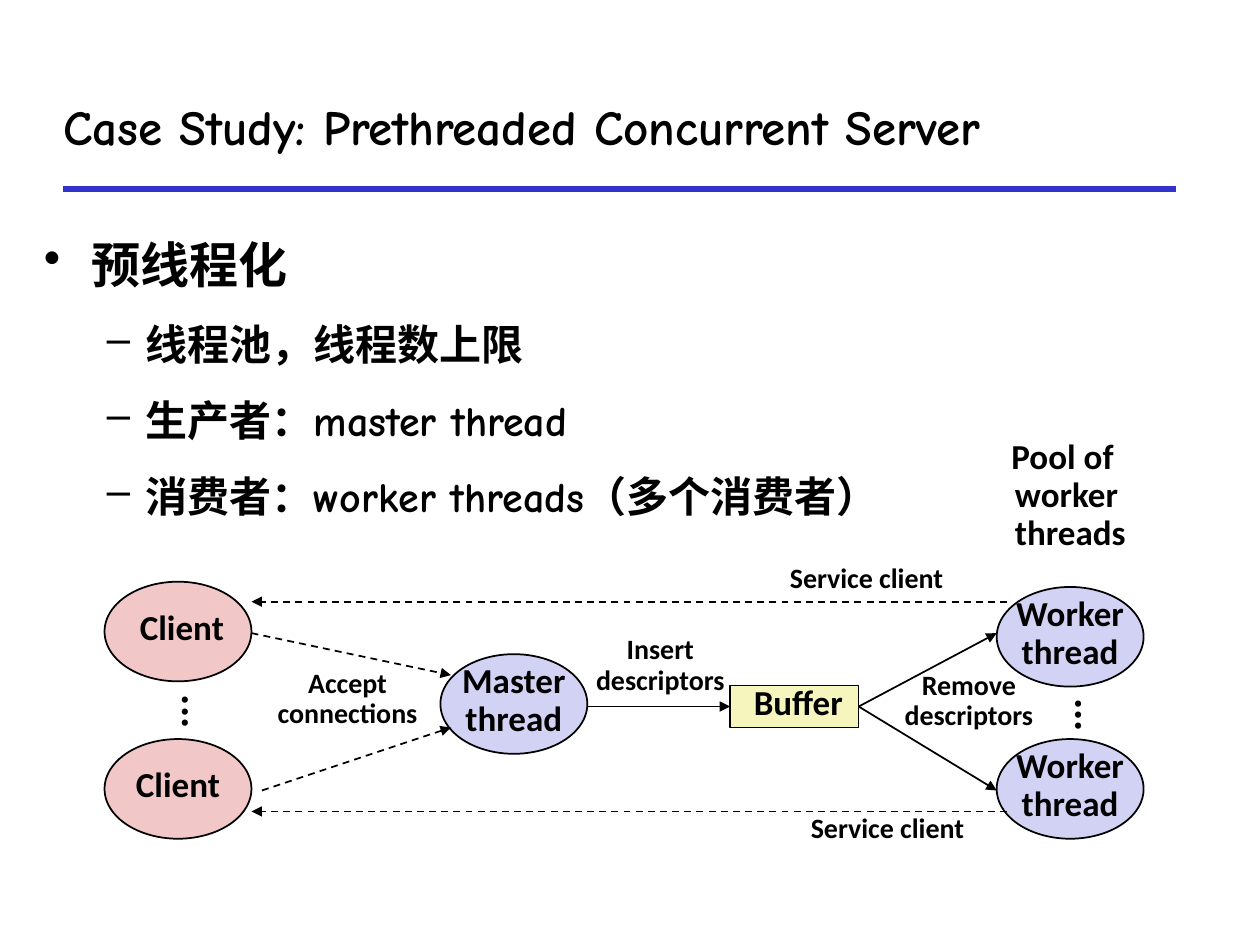
from lxml import etree
from pptx import Presentation
from pptx.dml.color import RGBColor
from pptx.enum.dml import MSO_LINE
from pptx.enum.shapes import MSO_CONNECTOR, MSO_SHAPE
from pptx.enum.text import MSO_ANCHOR, MSO_AUTO_SIZE, PP_ALIGN
from pptx.oxml.ns import qn
from pptx.util import Inches, Pt

BLACK = RGBColor(0x00, 0x00, 0x00)
RULE_BLUE = RGBColor(0x33, 0x33, 0xCC)
THREAD_BLUE = RGBColor(0xD2, 0xD2, 0xF4)
CLIENT_PINK = RGBColor(0xF1, 0xC7, 0xC7)
BUFFER_YELLOW = RGBColor(0xF6, 0xF5, 0xBD)

LEFT, CENTER = PP_ALIGN.LEFT, PP_ALIGN.CENTER
MIDDLE, TOP = MSO_ANCHOR.MIDDLE, MSO_ANCHOR.TOP
OVAL, RECTANGLE = MSO_SHAPE.OVAL, MSO_SHAPE.RECTANGLE
STRAIGHT, DASH = MSO_CONNECTOR.STRAIGHT, MSO_LINE.DASH
SIDE_LEFT, SIDE_RIGHT = 1, 3

HEADING_FONT, LABEL_FONT = "Comic Neue", "Calibri"
COLUMNS, ROWS = 100, 40  # grid of the diagram


def add_text(frame, lines, size=20, font=LABEL_FONT, align=CENTER, anchor=MIDDLE,
             wrap=False, spacing=0.7, before=5, insets=(0.1, 0.05)):
    """Fill a text frame with one paragraph per line and return the paragraphs."""
    frame.word_wrap = wrap
    frame.vertical_anchor = anchor
    frame.margin_left = frame.margin_right = Inches(insets[0])
    frame.margin_top = frame.margin_bottom = Inches(insets[1])
    paragraphs = []
    for index, line in enumerate(lines):
        paragraph = frame.add_paragraph() if index else frame.paragraphs[0]
        paragraph.alignment = align
        paragraph.line_spacing = spacing
        paragraph.space_before = Pt(before if index else 0)
        run = paragraph.add_run()
        run.text = line
        run.font.name = font
        run.font.size = Pt(size)
        run.font.bold = True
        run.font.color.rgb = BLACK
        paragraphs.append(paragraph)
    return paragraphs


def add_line(slide, start, end, color=BLACK, width=1, dash=None, arrow=True):
    connector = slide.shapes.add_connector(STRAIGHT, *start, *end)
    connector.line.color.rgb = color
    connector.line.width = Pt(width)
    if dash:
        connector.line.dash_style = dash
    if arrow:
        etree.SubElement(connector.line._get_or_add_ln(), qn("a:tailEnd"), type="triangle")
    etree.SubElement(connector._element.spPr, qn("a:effectLst"))
    return connector


def add_bullet(paragraph, character, margin, hanging):
    properties = paragraph._p.get_or_add_pPr()
    properties.set("marL", str(Inches(margin)))
    properties.set("indent", str(-Inches(hanging)))
    bullet_color = etree.SubElement(properties, qn("a:buClr"))
    etree.SubElement(bullet_color, qn("a:srgbClr"), val=str(BLACK))
    etree.SubElement(properties, qn("a:buChar"), char=character)


def build_heading(slide, left, top, width, height):
    title = slide.shapes.title
    title.left, title.top, title.width, title.height = left, top, width, height
    add_text(title.text_frame, ["Case Study: Prethreaded Concurrent Server"], size=28,
             font=HEADING_FONT, align=LEFT, wrap=True, spacing=1.0)
    rule_left, rule_top = left + Inches(0.1), top + height
    add_line(slide, (rule_left, rule_top), (rule_left + Inches(8.83), rule_top),
             color=RULE_BLUE, width=3, arrow=False)


def build_bullets(slide, left, top, width, height):
    box = slide.shapes.add_textbox(left, top, width, height)
    lines = ["预线程化", "线程池，线程数上限", "生产者：master thread",
             "消费者：worker threads（多个消费者）"]
    heading, *points = add_text(box.text_frame, lines, size=24, font=HEADING_FONT, align=LEFT,
                                anchor=TOP, wrap=True, spacing=1.3, before=6)
    heading.runs[0].font.size = Pt(28)
    add_bullet(heading, "•", 0.38, 0.38)
    for point in points:
        point.level = 1
        add_bullet(point, "–", 0.81, 0.31)


def build_diagram(slide, left, top, width, height):
    """Draw clients, master, buffer and workers on a grid inside the box."""

    def at(column, row):
        return int(left + width * column / COLUMNS), int(top + height * row / ROWS)

    def size(columns, rows):
        return int(width * columns / COLUMNS), int(height * rows / ROWS)

    def node(lines, column, row, fill, kind=OVAL, columns=14, rows=9.5):
        shape = slide.shapes.add_shape(kind, *at(column, row), *size(columns, rows))
        shape.shadow.inherit = False
        shape.fill.solid()
        shape.fill.fore_color.rgb = fill
        shape.line.color.rgb = BLACK
        shape.line.width = Pt(1)
        add_text(shape.text_frame, lines, insets=(0.1, 0))
        return shape

    def label(lines, column, row, columns, rows, **text_format):
        box = slide.shapes.add_textbox(*at(column, row), *size(columns, rows))
        add_text(box.text_frame, lines, **text_format)
        box.text_frame.auto_size = MSO_AUTO_SIZE.SHAPE_TO_FIT_TEXT
        return box

    node(["Master", "thread"], 32, 21.4, THREAD_BLUE)
    buffer = node([" Buffer"], 59.6, 24.4, BUFFER_YELLOW, RECTANGLE, 12.25, 4)
    add_line(slide, at(46, 26.4), at(59.6, 26.4)).end_connect(buffer, SIDE_LEFT)

    for worker_row, arrow_row in ((15, 19.4), (29.5, 34.4)):
        add_line(slide, at(71.85, 26.4), at(85, arrow_row)).begin_connect(buffer, SIDE_RIGHT)
        node(["Worker", "thread"], 85, worker_row, THREAD_BLUE)
    for text, row in ((" Client", 14.5), ("Client", 29.5)):
        node([text], 0, row, CLIENT_PINK)

    for start, end in (((14, 19.4), (33, 23.4)), ((15, 34.4), (33, 28.4)),
                       ((86, 16.4), (14, 16.4)), ((86, 36.4), (14, 36.4))):
        add_line(slide, at(*start), at(*end), dash=DASH)

    for lines, column, row, columns in (
            (["Accept", "connections"], 14.9, 22.7, 16.5),
            (["Insert", "descriptors"], 44.7, 19.5, 16.5),
            (["Remove", "descriptors"], 74.1, 22.9, 16.5),
            (["Service client"], 63.7, 12.9, 17.8),
            (["Service client"], 65.7, 36.7, 17.8)):
        label(lines, column, row, columns, 3.2 * len(lines), size=16, before=4)
    label(["Pool of ", "worker", " threads"], 84.3, 0.9, 14.7, 11.3)

    for column, row, align in ((90.6, 24.4, LEFT), (5.5, 24.1, CENTER)):
        dots = label(["..."], column, row, 5.8, 4.4, size=24, align=align, insets=(0.05, 0.1))
        dots.text_frame._txBody.bodyPr.set("vert", "eaVert")


def main():
    presentation = Presentation()
    presentation.slide_width, presentation.slide_height = Inches(10), Inches(7.5)
    slide = presentation.slides.add_slide(presentation.slide_layouts[5])
    build_heading(slide, Inches(0.4), Inches(0.5), Inches(9.36), Inches(1))
    build_diagram(slide, Inches(0.83), Inches(3.41), Inches(8.33), Inches(3.33))
    build_bullets(slide, Inches(0.25), Inches(1.67), Inches(9.53), Inches(3.58))
    presentation.save("out.pptx")


if __name__ == "__main__":
    main()
